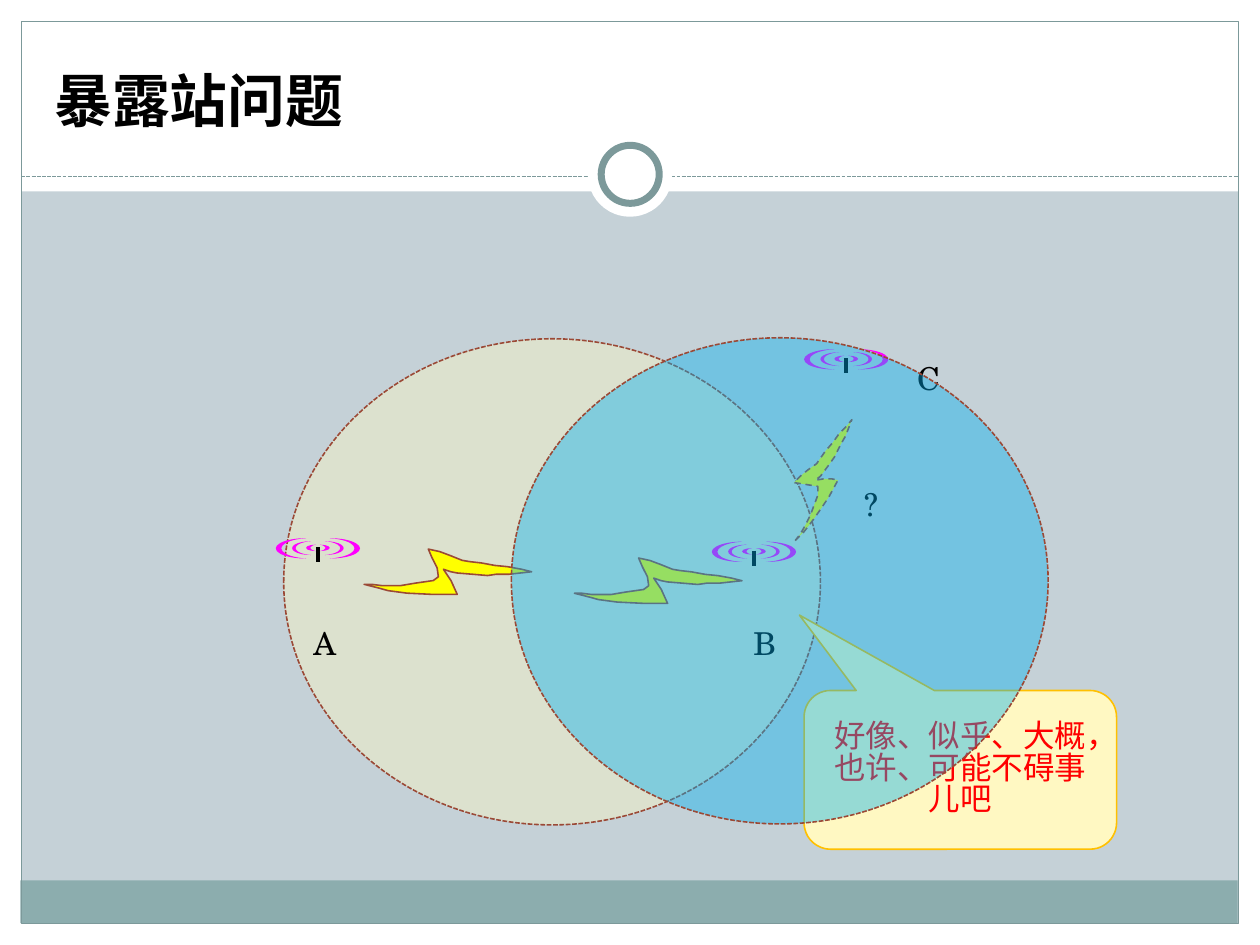
from dataclasses import dataclass
from typing import Any, NamedTuple, Optional

from lxml.etree import SubElement
from pptx import Presentation
from pptx.dml.color import RGBColor as Rgb
from pptx.enum.dml import MSO_LINE_DASH_STYLE as Dash
from pptx.enum.shapes import MSO_CONNECTOR, MSO_SHAPE as Preset
from pptx.enum.text import MSO_ANCHOR as Anchor, MSO_AUTO_SIZE as AutoSize, PP_ALIGN as Align
from pptx.oxml.ns import qn
from pptx.util import Cm, Pt


@dataclass(frozen=True)
class Theme:
    backdrop: str = "C5D1D7"
    paper: str = "FFFFFF"
    band: str = "8CADAE"
    rule: str = "7C999A"
    ink: str = "000000"
    doubt: str = "FF0000"
    wave: str = "FF00FF"
    signal: str = "FFFF00"
    edge: str = "9B4936"
    cream: str = "FFF8C2"
    gold: str = "FFC000"
    sky: str = "00B0F0"
    cjk_font: str = "Noto Sans CJK SC"
    latin_font: str = "TeX Gyre Schola"
    title_size: float = 33
    body_size: float = 18
    hairline: float = 0.75
    outline: float = 0.9
    mast_width: float = 2.25
    ring_width: float = 4
    range_opacity: int = 41


class Box(NamedTuple):
    left: float
    top: float
    width: float
    height: float


class Stroke(NamedTuple):
    color: str
    width: float
    dash: Optional[Dash] = None


class Wave(NamedTuple):
    inset: float
    top: float
    width: float
    height: float
    curve: float


class Spot(NamedTuple):
    left: float
    top: float


class Label(NamedTuple):
    text: str
    box: Box


THEME = Theme()
EDGE = Stroke(THEME.edge, THEME.outline)
RANGE_EDGE = EDGE._replace(dash=Dash.SQUARE_DOT)
STATION_WIDTH = 1.7
WAVES = (
    Wave(0, 0, 0.61, 0.41, 0.184),
    Wave(0.33, 0.06, 0.38, 0.28, 0.183),
    Wave(0.61, 0.13, 0.2, 0.13, 0.419),
)
STATIONS = (Spot(5.56, 10.85), Spot(14.35, 10.92), Spot(16.21, 7.04))
LABELS = (
    Label("A", Box(6.07, 12.45, 2.21, 1.02)),
    Label("B", Box(14.94, 12.45, 2.21, 1.02)),
    Label("C", Box(18.24, 7.11, 2.21, 1.02)),
)
QUESTION = Label("?", Box(17.17, 9.65, 1.32, 1.02))
FLAT_BOLT = (
    (0, 28), (12, 31), (19, 33), (34, 35), (55, 36), (74, 36), (69, 25), (63, 16),
    (69, 18), (74, 19), (86, 20), (98, 21), (105, 20), (115, 20), (124, 19), (133, 18),
    (125, 16), (114, 14), (104, 13), (93, 11), (84, 10), (78, 9), (68, 5), (60, 2),
    (51, 0), (54, 7), (58, 15), (59, 22), (55, 25), (41, 27), (29, 29), (14, 29), (6, 28),
)
STEEP_BOLT = (
    (0, 98), (7, 91), (14, 82), (21, 72), (27, 63), (34, 50), (29, 49), (23, 49),
    (16, 50), (20, 47), (26, 39), (31, 32), (36, 22), (40, 15), (45, 2), (41, 7),
    (35, 13), (30, 20), (24, 27), (17, 37), (10, 42), (4, 47), (-1, 52), (6, 53),
    (18, 55), (18, 62), (15, 70), (12, 78), (8, 86), (4, 93),
)


def set_stroke(line: Any, stroke: Stroke) -> None:
    """Apply colour, width and dash to a line."""
    line.color.rgb = Rgb.from_string(stroke.color)
    line.width = Pt(stroke.width)
    if stroke.dash:
        line.dash_style = stroke.dash


def paint(shape: Any, fill: Optional[str], stroke: Optional[Stroke], opacity: int = 100) -> None:
    """Give a shape its fill and outline, without a shadow."""
    shape.shadow.inherit = False
    if fill:
        shape.fill.solid()
        shape.fill.fore_color.rgb = Rgb.from_string(fill)
    else:
        shape.fill.background()
    if opacity < 100:
        color = shape.element.spPr.find(qn("a:solidFill"))[0]
        SubElement(color, qn("a:alpha")).set("val", str(opacity * 1000))
    if stroke:
        set_stroke(shape.line, stroke)
    else:
        shape.line.fill.background()


def add_preset(shapes: Any, preset: Preset, box: Box, fill: Optional[str],
               stroke: Optional[Stroke] = None, opacity: int = 100) -> Any:
    """Draw a preset shape."""
    shape = shapes.add_shape(preset, *map(Cm, box))
    paint(shape, fill, stroke, opacity)
    return shape


def add_line(shapes: Any, start: Spot, end: Spot, stroke: Stroke) -> None:
    """Draw a straight line."""
    line = shapes.add_connector(MSO_CONNECTOR.STRAIGHT, *map(Cm, start + end))
    set_stroke(line.line, stroke)
    SubElement(line.element.spPr, qn("a:effectLst"))


def add_run(paragraph: Any, text: str, font: str, size: float, color: str, bold: bool = False) -> None:
    """Add one formatted run."""
    run = paragraph.add_run()
    run.text = text
    run.font.size = Pt(size)
    run.font.bold = bold
    run.font.color.rgb = Rgb.from_string(color)
    run.font.name = font
    SubElement(run.font._element, qn("a:ea")).set("typeface", font)


def add_label(shapes: Any, label: Label) -> None:
    """Write a short label."""
    frame = shapes.add_textbox(*map(Cm, label.box)).text_frame
    frame.word_wrap = True
    frame.auto_size = AutoSize.SHAPE_TO_FIT_TEXT
    add_run(frame.paragraphs[0], label.text, THEME.latin_font, THEME.body_size, THEME.ink)


def add_station(shapes: Any, spot: Spot) -> None:
    """Draw a mast with mirrored radio waves."""
    station = shapes.add_group_shape().shapes
    mast_x = spot.left + STATION_WIDTH / 2
    add_line(station, Spot(mast_x, spot.top + 0.18), Spot(mast_x, spot.top + 0.48),
             Stroke(THEME.ink, THEME.mast_width))
    for wave in WAVES:
        for mirrored in (False, True):
            inset = STATION_WIDTH - wave.inset - wave.width if mirrored else wave.inset
            box = Box(spot.left + inset, spot.top + wave.top, wave.width, wave.height)
            moon = add_preset(station, Preset.MOON, box, THEME.wave)
            moon.adjustments[0] = wave.curve
            if mirrored:
                moon.element.spPr.xfrm.set("flipH", "1")


def add_bolt(shapes: Any, outline: tuple, spot: Spot, stroke: Stroke) -> None:
    """Draw a lightning bolt from its outline."""
    builder = shapes.build_freeform(*outline[0], scale=Cm(2.54) / 100)
    builder.add_line_segments(outline[1:], close=True)
    paint(builder.convert_to_shape(*map(Cm, spot)), THEME.signal, stroke)


def add_frame(shapes: Any) -> None:
    """Draw the margins, band, border and ring around the content."""
    for margin in (Box(0, 18.62, 25.4, 0.43), Box(0, 0, 25.4, 3.86),
                   Box(0, 0, 0.43, 19.05), Box(24.97, 0, 0.43, 19.05)):
        add_preset(shapes, Preset.RECTANGLE, margin, THEME.paper)
    add_preset(shapes, Preset.RECTANGLE, Box(0.41, 17.75, 24.54, 0.86), THEME.band)
    rule = Stroke(THEME.rule, THEME.hairline)
    add_preset(shapes, Preset.RECTANGLE, Box(0.43, 0.43, 24.54, 18.19), None, rule)
    add_line(shapes, Spot(0.43, 3.56), Spot(24.97, 3.56), rule._replace(dash=Dash.SQUARE_DOT))
    add_preset(shapes, Preset.OVAL, Box(11.85, 2.67, 1.7, 1.7), THEME.paper)
    add_preset(shapes, Preset.OVAL, Box(12.12, 2.93, 1.17, 1.17), THEME.paper,
               Stroke(THEME.rule, THEME.ring_width))


def add_title(shapes: Any, text: str) -> None:
    """Place the title placeholder above the frame and fill it."""
    title = shapes.title
    shapes.element.append(title.element)
    title.left, title.top, title.width, title.height = map(Cm, (0.84, 0.63, 23.7, 2.11))
    title.text_frame.vertical_anchor = Anchor.BOTTOM
    title.text_frame.margin_bottom = Cm(0.03)
    paragraph = title.text_frame.paragraphs[0]
    paragraph.alignment = Align.LEFT
    add_run(paragraph, text, THEME.cjk_font, THEME.title_size, THEME.ink, bold=True)


def add_callout(shapes: Any, text: str) -> None:
    """Draw the speech balloon pointing at station B."""
    callout = add_preset(shapes, Preset.ROUNDED_RECTANGULAR_CALLOUT, Box(16.21, 13.92, 6.3, 3.2),
                         THEME.cream, Stroke(THEME.gold, THEME.outline))
    for index, value in enumerate((-0.515, -0.975, 0.167)):
        callout.adjustments[index] = value
    callout.text_frame.word_wrap = True
    callout.text_frame.vertical_anchor = Anchor.MIDDLE
    paragraph = callout.text_frame.paragraphs[0]
    paragraph.alignment = Align.CENTER
    paragraph.line_spacing = 0.83
    add_run(paragraph, text, THEME.cjk_font, THEME.body_size, THEME.doubt)


def main() -> None:
    """Build the exposed station slide."""
    deck = Presentation()
    deck.slide_width, deck.slide_height = Cm(25.4), Cm(19.05)
    slide = deck.slides.add_slide(deck.slide_layouts[5])
    slide.background.fill.solid()
    slide.background.fill.fore_color.rgb = Rgb.from_string(THEME.backdrop)
    shapes = slide.shapes
    add_frame(shapes)
    add_title(shapes, "暴露站问题")
    add_preset(shapes, Preset.OVAL, Box(5.72, 6.83, 10.82, 9.8), THEME.cream,
               RANGE_EDGE, THEME.range_opacity)
    for spot in STATIONS:
        add_station(shapes, spot)
    for spot in (Spot(11.58, 11.25), Spot(7.34, 11.07)):
        add_bolt(shapes, FLAT_BOLT, spot, EDGE)
    query = shapes.add_group_shape().shapes
    add_bolt(query, STEEP_BOLT, Spot(16.03, 8.41), EDGE._replace(dash=Dash.DASH))
    add_label(query, QUESTION)
    add_callout(shapes, "好像、似乎、大概，也许、可能不碍事儿吧")
    for label in LABELS:
        add_label(shapes, label)
    add_preset(shapes, Preset.OVAL, Box(10.31, 6.81, 10.82, 9.8), THEME.sky,
               RANGE_EDGE, THEME.range_opacity)
    deck.save("out.pptx")


if __name__ == "__main__":
    main()
